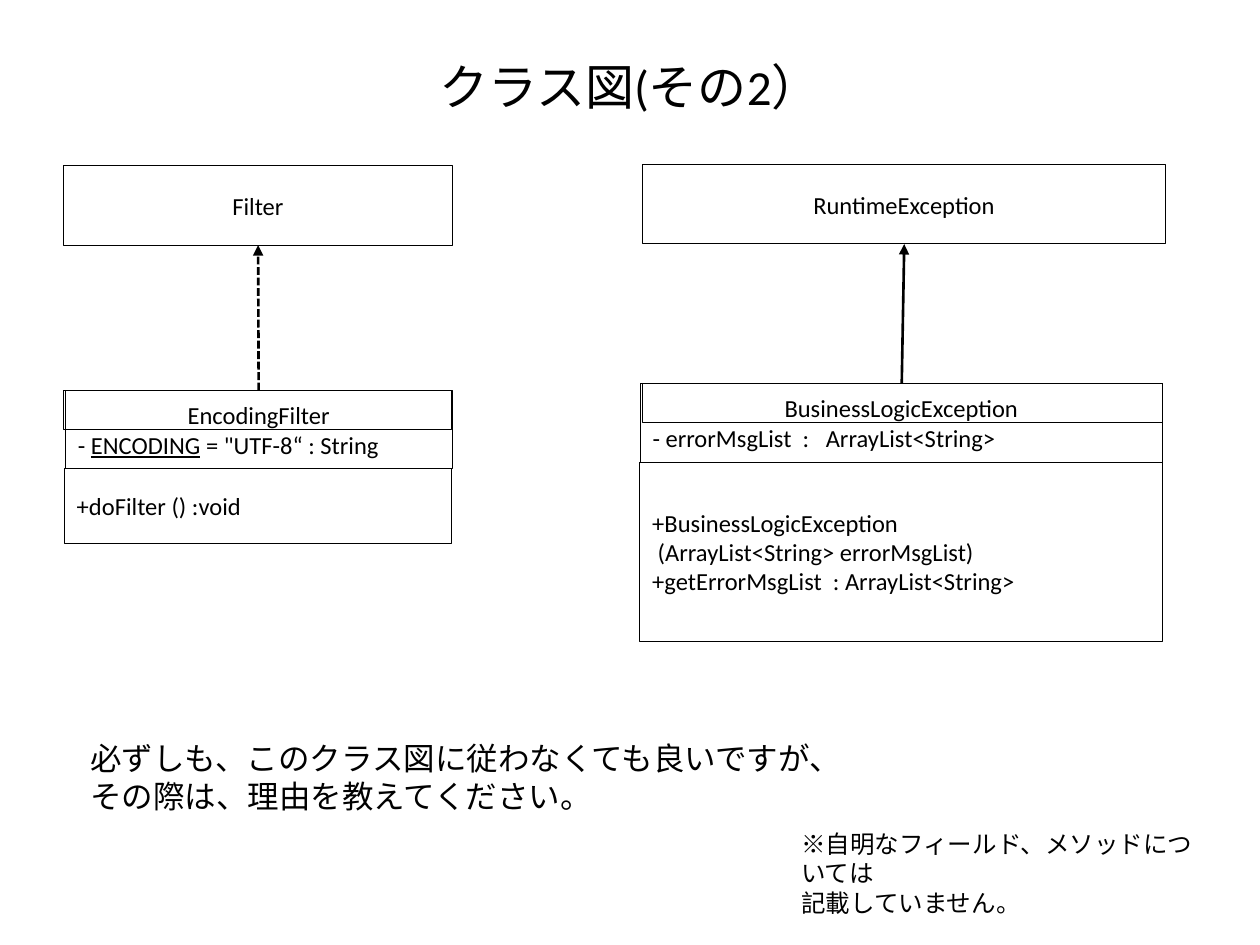
"""Build a class diagram slide with two inheritance pairs and remarks."""
import pptx
import pptx.util
import pptx.dml.color
import pptx.enum.dml
import pptx.enum.shapes
import pptx.enum.text
import pptx.oxml
import pptx.oxml.ns
from pptx.util import Pt

BLACK = pptx.dml.color.RGBColor(0, 0, 0)
CENTER = pptx.enum.text.PP_ALIGN.CENTER
LEFT = pptx.enum.text.PP_ALIGN.LEFT
MIDDLE = pptx.enum.text.MSO_ANCHOR.MIDDLE


def write(frame, lines, size):
    for index, (alignment, runs) in enumerate(lines):
        paragraph = frame.paragraphs[0] if index == 0 else frame.add_paragraph()
        paragraph.alignment = alignment
        paragraph.font.size = Pt(size)
        paragraph.font.name = "Calibri"
        paragraph.font.color.rgb = BLACK
        for part, piece in enumerate(runs.split("\v")):
            if part:
                paragraph.add_line_break()
            for position, text in enumerate(piece.split("_")):
                run = paragraph.add_run()
                run.text = text
                if position % 2:
                    run.font.underline = True


def add_box(shapes, bounds, lines=()):
    box = shapes.add_shape(
        pptx.enum.shapes.MSO_SHAPE.FLOWCHART_PROCESS, *map(Pt, bounds))
    box.shadow.inherit = False
    box.fill.background()
    box.line.color.rgb = BLACK
    box.line.width = Pt(0.5)
    box.text_frame.word_wrap = True
    box.text_frame.vertical_anchor = MIDDLE
    write(box.text_frame, lines, 14)


deck = pptx.Presentation()
deck.slide_width, deck.slide_height = Pt(720), Pt(540)
slide = deck.slides.add_slide(deck.slide_layouts[5])

title = slide.shapes.title
title.left, title.top, title.width, title.height = map(Pt, (36, 21.6, 648, 55.4))
title.text_frame.vertical_anchor = MIDDLE
write(title.text_frame, [(CENTER, "クラス図(その2）")], 28)

classes = [
    [((37.4, 223.2, 221, 44.6),
      [(CENTER, "EncodingFilter"), (LEFT, '- _ENCODING_ = "UTF-8“ : String')]),
     ((36.8, 267.8, 221, 42.5), [(LEFT, "+doFilter () :void")])],
    [((365.8, 218.9, 298.6, 45.3),
      [(CENTER, "BusinessLogicException"),
       (LEFT, "- errorMsgList  :   ArrayList<String>")]),
     ((365.6, 264.2, 298.8, 102.2),
      [(LEFT, "+BusinessLogicException\v (ArrayList<String> errorMsgList) "),
       (LEFT, "+getErrorMsgList  : ArrayList<String> ")])],
]
for compartments in classes:
    members = slide.shapes.add_group_shape().shapes
    for bounds, lines in compartments:
        add_box(members, bounds, lines)

add_box(slide.shapes, (367.2, 94, 298.8, 45.4), [(CENTER, "RuntimeException")])
add_box(slide.shapes, (36.4, 94.7, 222, 45.4), [(CENTER, "Filter")])
for name_bounds in ((36.3, 223.2, 221.8, 22.3), (367.2, 218.9, 297.2, 22.7)):
    add_box(slide.shapes, name_bounds)

arrows = [((147.8, 223.2, 147.5, 140.1), pptx.enum.dml.MSO_LINE.SQUARE_DOT),
          ((515.3, 218.9, 516.7, 139.5), pptx.enum.dml.MSO_LINE.SOLID)]
for ends, dash in arrows:
    inheritance = slide.shapes.add_connector(
        pptx.enum.shapes.MSO_CONNECTOR.STRAIGHT, *map(Pt, ends))
    inheritance.line.color.rgb = BLACK
    inheritance.line.width = Pt(1.5)
    inheritance.line.dash_style = dash
    head = pptx.oxml.parse_xml(
        f'<a:tailEnd {pptx.oxml.ns.nsdecls("a")} type="triangle"/>')
    inheritance.line._get_or_add_ln().append(head)
    inheritance._element.spPr.append(
        pptx.oxml.parse_xml(f'<a:effectLst {pptx.oxml.ns.nsdecls("a")}/>'))

remarks = [
    ((450.7, 470.2, 246.2, 41), 14,
     [(LEFT, "※自明なフィールド、メソッドについては"), (LEFT, "記載していません。")]),
    ((44.6, 419, 601.2, 51.1), 18,
     [(LEFT, "必ずしも、このクラス図に従わなくても良いですが、\v"
             "その際は、理由を教えてください。")]),
]
for bounds, size, lines in remarks:
    remark = slide.shapes.add_textbox(*map(Pt, bounds))
    remark.text_frame.word_wrap = True
    write(remark.text_frame, lines, size)

deck.save("out.pptx")
